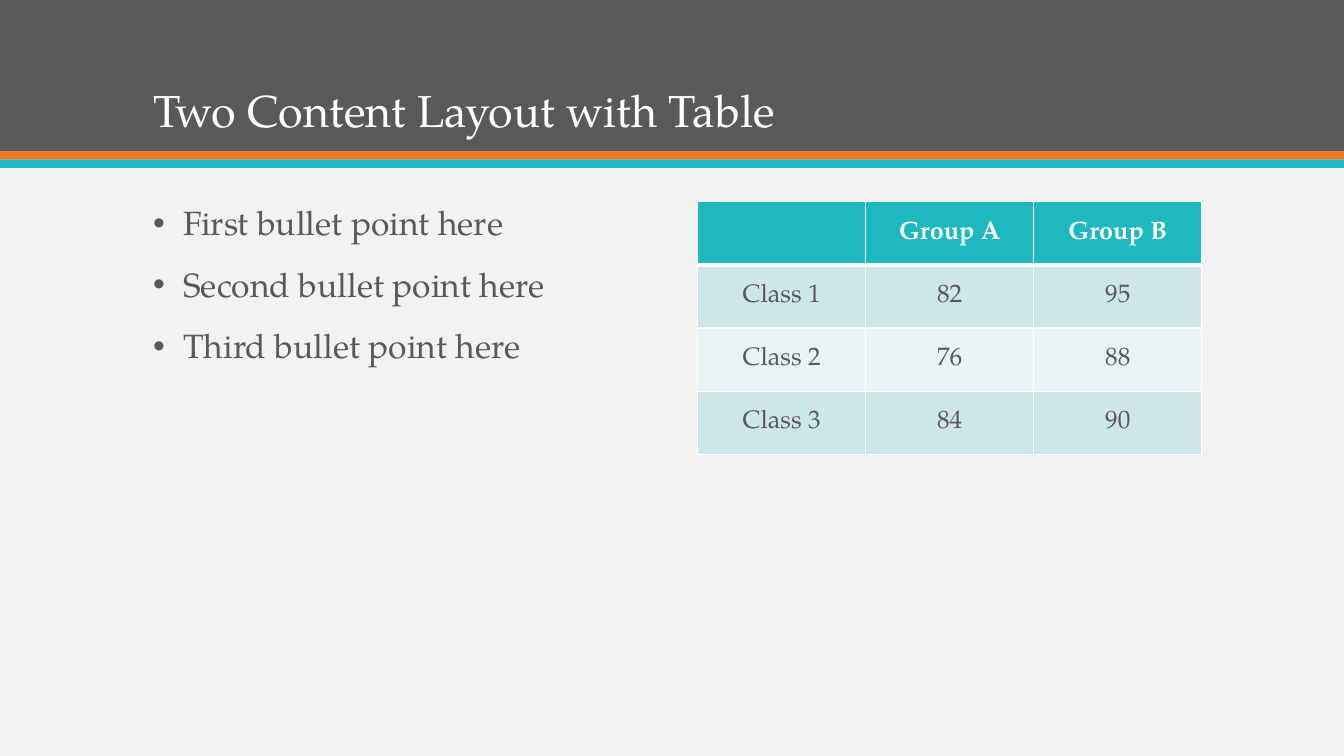
from lxml import etree
from pptx import Presentation, util as u
from pptx.dml.color import RGBColor
from pptx.enum import shapes, text
from pptx.oxml import ns

FONT = "TeX Gyre Pagella"
WHITE, GRAY, ORANGE, TEAL = "FFFFFF", "595959", "EF7920", "1EB8C1"
PALE, PALER, BACKGROUND = "CDE6E9", "E8F3F4", "F2F2F2"
BULLETS = ["First bullet point here", "Second bullet point here", "Third bullet point here"]
SCORES = [
    ["", "Group A", "Group B"],
    ["Class 1", "82", "95"],
    ["Class 2", "76", "88"],
    ["Class 3", "84", "90"],
]


def paint(fill, color):
    """Fill with a solid hex colour."""
    fill.solid()
    fill.fore_color.rgb = RGBColor.from_string(color)


def write(p, words, size, color, bold=False, **form):
    """Write one run in a paragraph and apply paragraph attributes."""
    for name, value in form.items():
        setattr(p, name, value)
    r = p.add_run()
    r.text = words
    for name, value in {"name": FONT, "size": u.Pt(size), "bold": bold}.items():
        setattr(r.font, name, value)
    r.font.color.rgb = RGBColor.from_string(color)


def add_text(s, box, anchor):
    """Add a wrapping text box and return its text frame."""
    tf = s.shapes.add_textbox(*map(u.Inches, box)).text_frame
    tf.word_wrap = True
    tf.vertical_anchor = anchor
    return tf


def add_header(s, box):
    """Draw the title band, its two stripes and the title."""
    x, y, w, h = box
    stripe = 0.083
    bands = [(0, h, GRAY), (h, stripe, ORANGE), (h + stripe, stripe, TEAL)]
    for top, height, color in bands:
        sp = s.shapes.add_shape(shapes.MSO_SHAPE.RECTANGLE,
                                *map(u.Inches, (x, y + top, w, height)))
        sp.shadow.inherit = False
        sp.line.fill.background()
        paint(sp.fill, color)
    tf = add_text(s, (x + 1.42, y + 0.28, 10.5, 1.13), text.MSO_ANCHOR.BOTTOM)
    write(tf.paragraphs[0], "Two Content Layout with Table", 32, WHITE, line_spacing=0.9)


def add_bullets(s, box, items):
    """Write a bulleted list in the box."""
    tf = add_text(s, box, text.MSO_ANCHOR.TOP)
    for i, item in enumerate(items):
        p = tf.add_paragraph() if i else tf.paragraphs[0]
        write(p, item, 24, GRAY, line_spacing=0.9, space_before=u.Pt(18))
        pPr = p._p.get_or_add_pPr()
        pPr.set("marL", str(u.Inches(0.3)))
        pPr.set("indent", str(u.Inches(-0.3)))
        etree.SubElement(pPr, ns.qn("a:buFont"), typeface="Arial")
        etree.SubElement(pPr, ns.qn("a:buChar"), char="•")


def add_borders(cell, widths):
    """Draw white cell borders with widths in points by side."""
    tcPr = cell._tc.get_or_add_tcPr()
    for side, width in widths.items():
        ln = etree.SubElement(tcPr, ns.qn(f"a:ln{side}"), w=str(u.Pt(width)))
        solid = etree.SubElement(ln, ns.qn("a:solidFill"))
        etree.SubElement(solid, ns.qn("a:srgbClr"), val=WHITE)


def add_scores(s, box, rows):
    """Build the score table with a header row and banded rows."""
    table = s.shapes.add_table(len(rows), len(rows[0]), *map(u.Inches, box)).table
    for i, row in enumerate(rows):
        head = i == 0
        color = TEAL if head else PALE if i % 2 else PALER
        for j, words in enumerate(row):
            cell = table.cell(i, j)
            add_borders(cell, {"L": 1, "R": 1, "T": 3 if i == 1 else 1, "B": 3 if head else 1})
            paint(cell.fill, color)
            cell.vertical_anchor = text.MSO_ANCHOR.MIDDLE
            if words:
                write(cell.text_frame.paragraphs[0], words, 18, WHITE if head else GRAY,
                      head, alignment=text.PP_ALIGN.CENTER)


def main():
    """Build and save the slide."""
    prs = Presentation()
    prs.slide_width, prs.slide_height = u.Inches(13.33), u.Inches(7.5)
    s = prs.slides.add_slide(prs.slide_layouts[6])
    paint(s.background.fill, BACKGROUND)
    add_header(s, (0, 0, 13.33, 1.5))
    add_bullets(s, (1.42, 2, 10.5, 4.75), BULLETS)
    add_scores(s, (6.92, 2, 5, 2.51), SCORES)
    prs.save("out.pptx")


if __name__ == "__main__":
    main()
